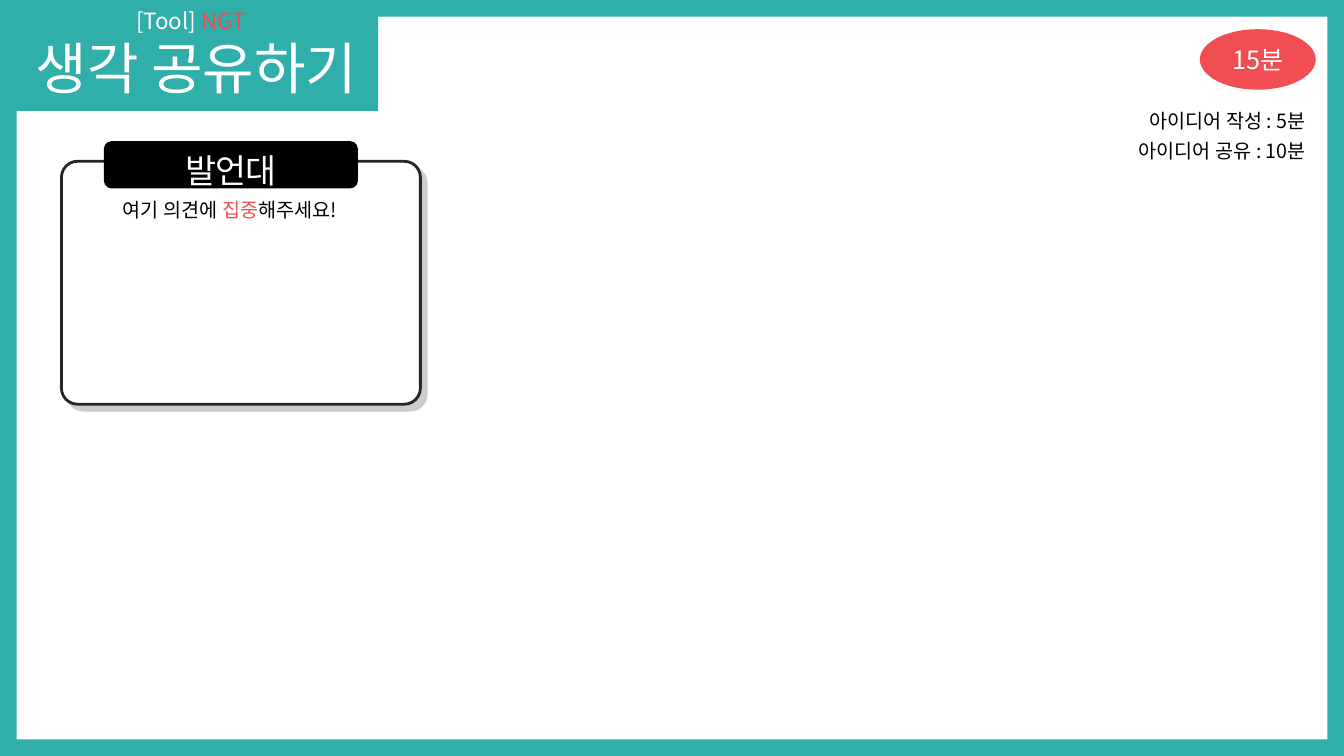
from dataclasses import dataclass

from lxml import etree
from pptx import Presentation
from pptx.dml.color import RGBColor
from pptx.enum.shapes import MSO_SHAPE
from pptx.enum.text import MSO_ANCHOR, PP_ALIGN
from pptx.oxml.ns import qn
from pptx.util import Inches, Pt

FRAME, OVAL = MSO_SHAPE.FRAME, MSO_SHAPE.OVAL
RECT, ROUND = MSO_SHAPE.RECTANGLE, MSO_SHAPE.ROUNDED_RECTANGLE
LEFT, CENTER, RIGHT = PP_ALIGN.LEFT, PP_ALIGN.CENTER, PP_ALIGN.RIGHT
TOP, MIDDLE, BOTTOM = MSO_ANCHOR.TOP, MSO_ANCHOR.MIDDLE, MSO_ANCHOR.BOTTOM


@dataclass(frozen=True)
class Theme:
    font: str = "Noto Sans CJK KR"
    teal: str = "30AEAA"
    red: str = "F04E52"
    white: str = "FFFFFF"
    black: str = "000000"
    edge: str = "262626"
    title: int = 40
    head: int = 24
    time: int = 18
    tool: int = 16
    body: int = 14


THEME = Theme()


def rgb(code):
    return RGBColor.from_string(code)


def write(shape, text, size=THEME.body, color=THEME.black, accent=None,
          align=LEFT, anchor=TOP, space=1.0, wrap=True, inset=None, track=None):
    frame = shape.text_frame
    frame.word_wrap = wrap
    frame.vertical_anchor = anchor
    if inset is not None:
        frame.margin_left = frame.margin_right = Inches(inset)
        frame.margin_top = frame.margin_bottom = Inches(inset)
    for i, line in enumerate(text.split("\n")):
        para = frame.add_paragraph() if i else frame.paragraphs[0]
        para.alignment = align
        para.line_spacing = space
        before, mark, after = line.partition(accent) if accent else (line, "", "")
        for part, tone in ((before, color), (mark, THEME.red), (after, color)):
            if not part:
                continue
            run = para.add_run()
            run.text = part
            run.font.size = Pt(size)
            run.font.name = THEME.font
            run.font.color.rgb = rgb(tone)
            props = run.font._element
            etree.SubElement(props, qn("a:ea"), typeface=THEME.font)
            if track is not None:
                props.set("spc", str(round(track * 100)))


def block(shapes, kind, box, fill=None, line=None, adjust=None):
    shape = shapes.add_shape(kind, *map(Inches, box))
    shape.shadow.inherit = False
    if fill:
        shape.fill.solid()
        shape.fill.fore_color.rgb = rgb(fill)
    else:
        shape.fill.background()
    if line:
        shape.line.color.rgb = rgb(line)
        shape.line.width = Pt(2)
    else:
        shape.line.fill.background()
    if adjust is not None:
        shape.adjustments[0] = adjust
    return shape


def label(shapes, box, text, **style):
    write(shapes.add_textbox(*map(Inches, box)), text, **style)


def cast(shape):
    effects = shape._element.spPr.find(qn("a:effectLst"))
    shade = etree.SubElement(effects, qn("a:outerShdw"), blurRad="0",
                             dist=str(Pt(6)), dir="2700000",
                             algn="tl", rotWithShape="0")
    tone = etree.SubElement(shade, qn("a:srgbClr"), val=THEME.black)
    etree.SubElement(tone, qn("a:alpha"), val="20000")


def header(slide):
    shapes = slide.shapes
    block(shapes, RECT, (0, 0, 3.75, 1.1), THEME.teal)
    title = shapes.title
    title.left, title.top, title.width, title.height = map(
        Inches, (0.16, 0.2, 3.58, 0.86))
    write(title, "생각 공유하기", size=THEME.title, color=THEME.white,
          align=CENTER, anchor=BOTTOM, space=0.9)
    shapes._spTree.append(title._element)
    tool = block(shapes, ROUND, (0.26, 0.03, 3.27, 0.35))
    write(tool, "[Tool] NGT", size=THEME.tool, color=THEME.white,
          accent="NGT", align=CENTER, anchor=MIDDLE)


def podium(slide):
    shapes = slide.shapes.add_group_shape().shapes
    cast(block(shapes, ROUND, (0.61, 1.6, 3.56, 2.41), THEME.white,
               line=THEME.edge, adjust=0.066))
    block(shapes, ROUND, (1.03, 1.4, 2.52, 0.47), THEME.black)
    label(shapes, (1.55, 1.37, 1.48, 0.12), "발언대", size=THEME.head,
          color=THEME.white, align=CENTER, space=1.3, wrap=False,
          inset=0, track=-0.6)
    label(shapes, (0.61, 1.84, 3.34, 0.41), "여기 의견에 집중해주세요!",
          accent="집중", align=CENTER, space=1.3)


def timer(slide):
    oval = block(slide.shapes, OVAL, (11.9, 0.29, 1.15, 0.6), THEME.red)
    write(oval, "15분", size=THEME.time, color=THEME.white,
          align=CENTER, anchor=MIDDLE)
    label(slide.shapes, (10.23, 0.96, 2.82, 0.71),
          "아이디어 작성 : 5분\n아이디어 공유 : 10분", align=RIGHT, space=1.3)


def main():
    deck = Presentation()
    deck.slide_width, deck.slide_height = Inches(13.33), Inches(7.5)
    slide = deck.slides.add_slide(deck.slide_layouts[5])
    block(slide.shapes, FRAME, (0, 0, 13.33, 7.5), THEME.teal, adjust=0.022)
    header(slide)
    podium(slide)
    timer(slide)
    deck.save("out.pptx")


if __name__ == "__main__":
    main()
